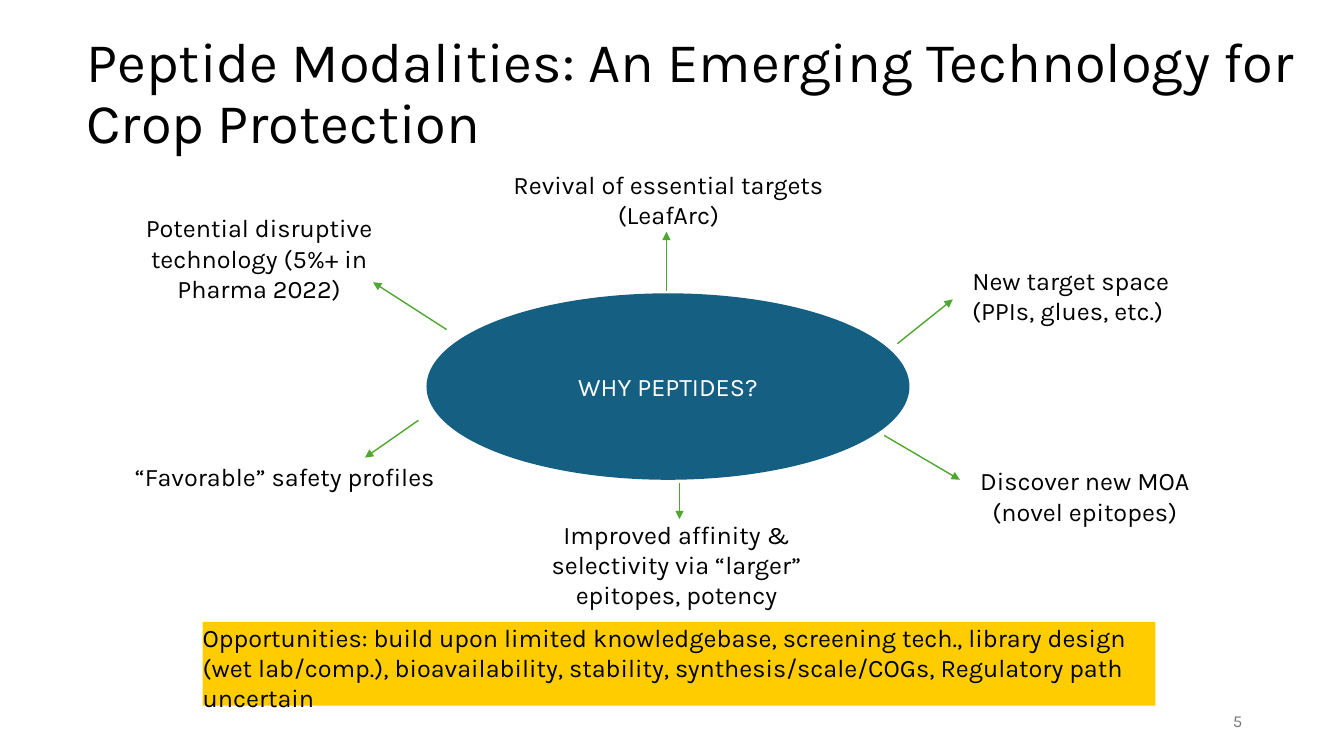
"""Build the slide on why peptides matter for crop protection."""
import pptx
import pptx.util
import pptx.dml.color
import pptx.enum.shapes
import pptx.enum.text
import pptx.oxml
import pptx.oxml.ns

Inches = pptx.util.Inches
Pt = pptx.util.Pt
RGBColor = pptx.dml.color.RGBColor
MSO_SHAPE = pptx.enum.shapes.MSO_SHAPE
ANCHOR = pptx.enum.text.MSO_ANCHOR
ALIGN = pptx.enum.text.PP_ALIGN

BLACK = RGBColor(0x00, 0x00, 0x00)
WHITE = RGBColor(0xFF, 0xFF, 0xFF)
GRAY = RGBColor(0x79, 0x79, 0x79)
BLUE = RGBColor(0x15, 0x60, 0x82)
GREEN = RGBColor(0x4E, 0xA7, 0x2E)
YELLOW = RGBColor(0xFF, 0xCC, 0x00)
FONT = "Karla"

TITLE = "Peptide Modalities: An Emerging Technology for Crop Protection"
HUB = "WHY PEPTIDES?"
OPPORTUNITIES = (
    "Opportunities: build upon limited knowledgebase, screening tech., "
    "library design (wet lab/comp.), bioavailability, stability, "
    "synthesis/scale/COGs, Regulatory path uncertain"
)
PAGE = "5"

REASONS = [
    ("Potential disruptive technology (5%+ in Pharma 2022)",
     (1.39, 2.11, 2.36, 0.34), (4.43, 3.27), (3.7, 2.8)),
    ("Revival of essential targets (LeafArc)",
     (4.61, 1.68, 4.04, 0.64), (6.61, 2.89), (6.61, 2.3)),
    ("New target space (PPIs, glues, etc.) ",
     (9.44, 2.63, 2.36, 0.64), (8.9, 3.41), (9.45, 2.97)),
    ("Discover new MOA (novel epitopes)",
     (9.58, 4.62, 2.36, 0.75), (8.77, 4.32), (9.52, 4.76)),
    ("Improved affinity & selectivity via “larger” epitopes, potency",
     (5.29, 5.15, 2.84, 0.75), (6.74, 4.79), (6.74, 5.15)),
    ("“Favorable” safety profiles",
     (1.28, 4.58, 3.09, 0.34), (4.15, 4.17), (3.62, 4.54)),
]


def write(sp, text, size=18, color=BLACK, align=ALIGN.LEFT,
          anchor=ANCHOR.TOP, inset=True):
    tf = sp.text_frame
    tf.word_wrap = True
    tf.vertical_anchor = anchor
    if not inset:
        tf.margin_left = tf.margin_top = tf.margin_right = tf.margin_bottom = 0
    p = tf.paragraphs[0]
    p.alignment = align
    r = p.add_run()
    r.text = text
    r.font.name = FONT
    r.font.size = Pt(size)
    r.font.color.rgb = color
    return p


def add_box(s, at):
    return s.shapes.add_textbox(*map(Inches, at))


def add_filled(s, kind, at, fill):
    sp = s.shapes.add_shape(kind, *map(Inches, at))
    sp.shadow.inherit = False
    sp.fill.solid()
    sp.fill.fore_color.rgb = fill
    sp.line.fill.background()
    return sp


def add_arrow(s, start, end):
    cn = s.shapes.add_connector(
        pptx.enum.shapes.MSO_CONNECTOR.STRAIGHT, *map(Inches, start + end))
    cn.line.color.rgb = GREEN
    cn.line.width = Pt(1)
    ns = pptx.oxml.ns.nsdecls("a")
    cn.line._get_or_add_ln().append(
        pptx.oxml.parse_xml(f'<a:tailEnd {ns} type="triangle"/>'))
    cn._element.spPr.append(pptx.oxml.parse_xml(f"<a:effectLst {ns}/>"))


def main():
    prs = pptx.Presentation()
    prs.slide_width = Inches(13.33)
    prs.slide_height = Inches(7.5)
    s = prs.slides.add_slide(prs.slide_layouts[6])

    write(add_box(s, (9.42, 6.95, 3, 0.4)), PAGE, 12, GRAY,
          ALIGN.RIGHT, ANCHOR.MIDDLE)
    hub = add_filled(s, MSO_SHAPE.OVAL, (4.23, 2.91, 4.79, 1.85), BLUE)
    write(hub, HUB, color=WHITE, align=ALIGN.CENTER, anchor=ANCHOR.MIDDLE)
    title = write(add_box(s, (0.76, 0.29, 12.19, 1.32)), TITLE, 40)
    title.line_spacing = 0.9

    for text, at, start, end in REASONS:
        write(add_box(s, at), text, align=ALIGN.CENTER, inset=False)
        add_arrow(s, start, end)

    banner = add_filled(s, MSO_SHAPE.RECTANGLE, (2.01, 6.17, 9.45, 0.83), YELLOW)
    write(banner, OPPORTUNITIES, inset=False)

    prs.save("out.pptx")


if __name__ == "__main__":
    main()
